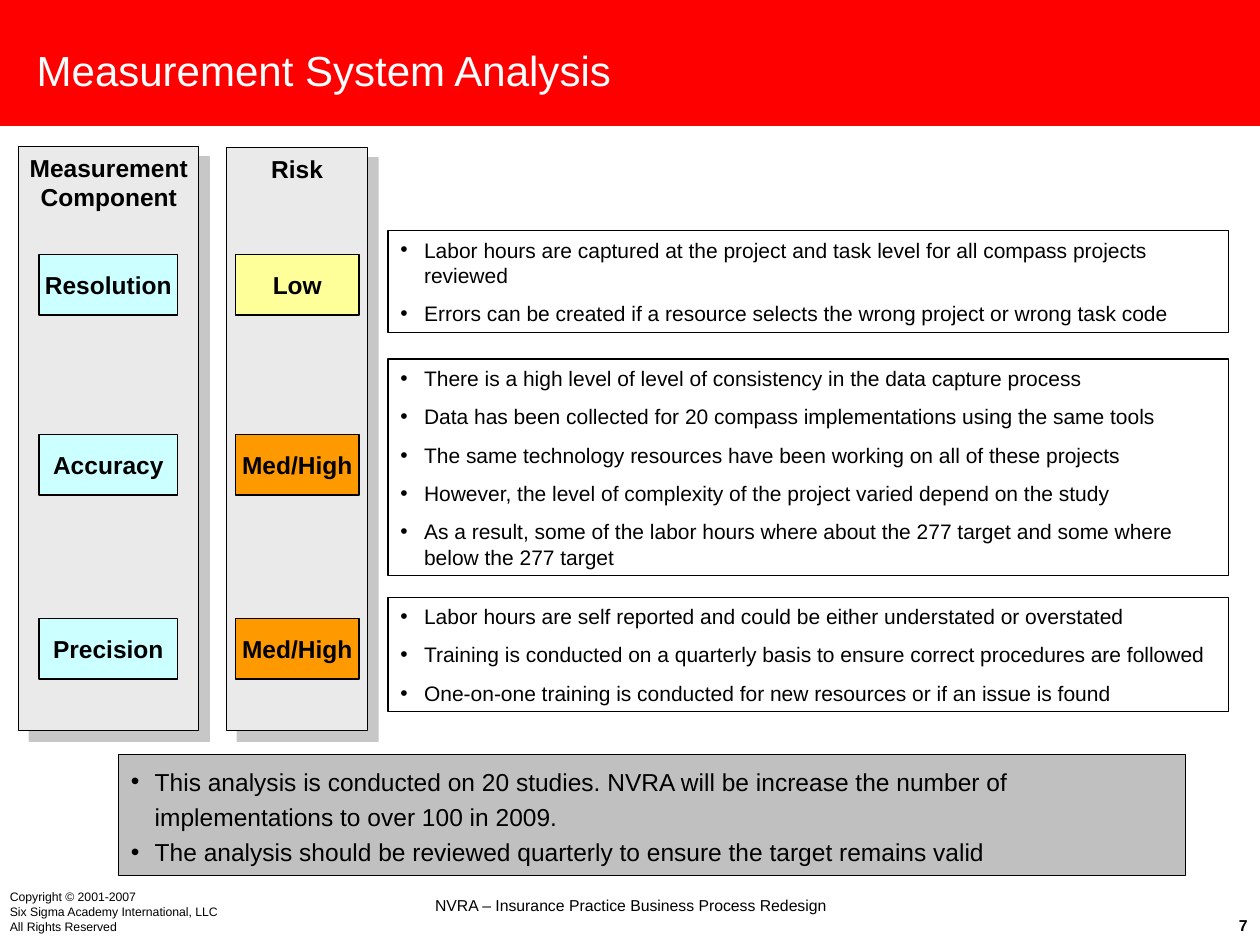
"""Build the measurement system analysis slide."""
from dataclasses import dataclass

import lxml.etree
import pptx
import pptx.dml.color
import pptx.enum.shapes
import pptx.enum.text
import pptx.oxml
import pptx.oxml.ns
import pptx.util

Cm = pptx.util.Cm
Pt = pptx.util.Pt
ALIGN = pptx.enum.text.PP_ALIGN
ANCHOR = pptx.enum.text.MSO_ANCHOR


@dataclass(frozen=True)
class Theme:
    font: str = "Arial"
    ink: str = "000000"
    white: str = "FFFFFF"
    banner: str = "FF0000"
    panel: str = "EAEAEA"
    shadow: str = "919191"
    component: str = "CCFFFF"
    low: str = "FFFF99"
    high: str = "FF9900"
    summary: str = "C0C0C0"
    title: float = 24
    label: float = 14
    body: float = 12
    footer: float = 9
    legal: float = 7
    line: float = 0.75


THEME = Theme()
PADDING = (0.25, 0.13)

ROWS = [
    ("Resolution", "Low", THEME.low, 5.13, (4.65, 2.06), [
        "Labor hours are captured at the project and task level for all compass projects reviewed",
        "Errors can be created if a resource selects the wrong project or wrong task code",
    ]),
    ("Accuracy", "Med/High", THEME.high, 8.76, (7.24, 4.37), [
        "There is a high level of level of consistency in the data capture process",
        "Data has been collected for 20 compass implementations using the same tools",
        "The same technology resources have been working on all of these projects",
        "However, the level of complexity of the project varied depend on the study",
        "As a result, some of the labor hours where about the 277 target and some where "
        "below the 277 target",
    ]),
    ("Precision", "Med/High", THEME.high, 12.47, (12.04, 2.31), [
        "Labor hours are self reported and could be either understated or overstated",
        "Training is conducted on a quarterly basis to ensure correct procedures are followed",
        "One-on-one training is conducted for new resources or if an issue is found",
    ]),
]
SUMMARY = [
    "This analysis is conducted on 20 studies. NVRA will be increase the number of "
    "implementations to over 100 in 2009.",
    "The analysis should be reviewed quarterly to ensure the target remains valid",
]
COPYRIGHT = ["Copyright © 2001-2007", "Six Sigma Academy International, LLC",
             "All Rights Reserved"]


def rgb(code):
    return pptx.dml.color.RGBColor.from_string(code)


def add_bullet(para):
    properties = para._p.get_or_add_pPr()
    properties.set("marL", str(Cm(0.48)))
    properties.set("indent", str(-Cm(0.48)))
    color = lxml.etree.SubElement(properties, pptx.oxml.ns.qn("a:buClr"))
    lxml.etree.SubElement(color, pptx.oxml.ns.qn("a:srgbClr"), val=THEME.ink)
    lxml.etree.SubElement(properties, pptx.oxml.ns.qn("a:buFont"), typeface=THEME.font)
    lxml.etree.SubElement(properties, pptx.oxml.ns.qn("a:buChar"), char="•")


def write(shape, lines, *, size, color=THEME.ink, bold=False, align=ALIGN.LEFT,
          anchor=ANCHOR.TOP, padding=(0, 0), wrap=True, bullets=False,
          space_before=0, line_spacing=None):
    frame = shape.text_frame
    frame.word_wrap = wrap
    frame.vertical_anchor = anchor
    frame.margin_left = frame.margin_right = Cm(padding[0])
    frame.margin_top = frame.margin_bottom = Cm(padding[1])
    for index, line in enumerate(lines):
        para = frame.add_paragraph() if index else frame.paragraphs[0]
        if bullets:
            add_bullet(para)
        para.alignment = align
        if index and space_before:
            para.space_before = Pt(space_before)
        if line_spacing:
            para.line_spacing = line_spacing
        span = para.add_run()
        span.text = line
        span.font.name = THEME.font
        span.font.size = Pt(size)
        span.font.bold = bold
        span.font.color.rgb = rgb(color)


def add_box(page, left, top, width, height, fill=None, outlined=True):
    box = page.shapes.add_shape(pptx.enum.shapes.MSO_SHAPE.RECTANGLE,
                                Cm(left), Cm(top), Cm(width), Cm(height))
    box.shadow.inherit = False
    if fill:
        box.fill.solid()
        box.fill.fore_color.rgb = rgb(fill)
    else:
        box.fill.background()
    if outlined:
        box.line.color.rgb = rgb(THEME.ink)
        box.line.width = Pt(THEME.line)
    else:
        box.line.fill.background()
    return box


def add_text(page, left, top, width, height, lines, **style):
    box = page.shapes.add_textbox(Cm(left), Cm(top), Cm(width), Cm(height))
    write(box, lines, **style)


def add_panel(page, left, top, width, height, heading):
    panel = add_box(page, left, top, width, height, THEME.panel)
    effects = panel._element.spPr.find(pptx.oxml.ns.qn("a:effectLst"))
    effects.append(pptx.oxml.parse_xml(
        f'<a:outerShdw {pptx.oxml.ns.nsdecls("a")} blurRad="0" dist="{Pt(8.5)}" '
        f'dir="2700000" algn="ctr" rotWithShape="0"><a:srgbClr val="{THEME.shadow}">'
        '<a:alpha val="50000"/></a:srgbClr></a:outerShdw>'))
    write(panel, heading, size=THEME.label, bold=True, align=ALIGN.CENTER,
          padding=PADDING, wrap=False)


def add_label(page, left, top, width, text, fill):
    label = add_box(page, left, top, width, 1.22, fill)
    write(label, [text], size=THEME.label, bold=True, align=ALIGN.CENTER,
          anchor=ANCHOR.MIDDLE, padding=PADDING, wrap=False)


def add_row(page, component, risk, risk_fill, top, comment_span, comments):
    add_label(page, 0.79, top, 2.79, component, THEME.component)
    add_label(page, 4.75, top, 2.49, risk, risk_fill)
    comment_top, comment_height = comment_span
    box = add_box(page, 7.82, comment_top, 16.94, comment_height)
    write(box, comments, size=THEME.body, padding=PADDING, bullets=True, space_before=7.5)


def add_footer(page):
    add_text(page, 8.56, 17.75, 8.31, 0.69,
             ["NVRA – Insurance Practice Business Process Redesign"],
             size=THEME.footer, align=ALIGN.CENTER, anchor=ANCHOR.BOTTOM)
    add_text(page, 23.88, 18.16, 1.27, 0.69, ["7"], size=THEME.footer, bold=True,
             align=ALIGN.RIGHT, anchor=ANCHOR.BOTTOM)
    add_text(page, 0.2, 17.93, 5.92, 0.89, COPYRIGHT, size=THEME.legal)


def main():
    deck = pptx.Presentation()
    deck.slide_width, deck.slide_height = Cm(25.4), Cm(19.05)
    page = deck.slides.add_slide(deck.slide_layouts[6])
    add_box(page, 0, 0, 25.4, 2.54, THEME.banner, outlined=False)
    add_text(page, 0.74, 0.89, 20.32, 1.02, ["Measurement System Analysis"],
             size=THEME.title, color=THEME.white, anchor=ANCHOR.BOTTOM)
    add_panel(page, 0.38, 2.95, 3.63, 11.78, ["Measurement", "Component"])
    add_panel(page, 4.57, 2.97, 2.84, 11.76, ["Risk"])
    for row in ROWS:
        add_row(page, *row)
    summary = add_box(page, 2.39, 15.21, 21.51, 2.44, THEME.summary)
    write(summary, SUMMARY, size=THEME.label, padding=PADDING, bullets=True, line_spacing=1.2)
    add_footer(page)
    deck.save("out.pptx")


if __name__ == "__main__":
    main()
